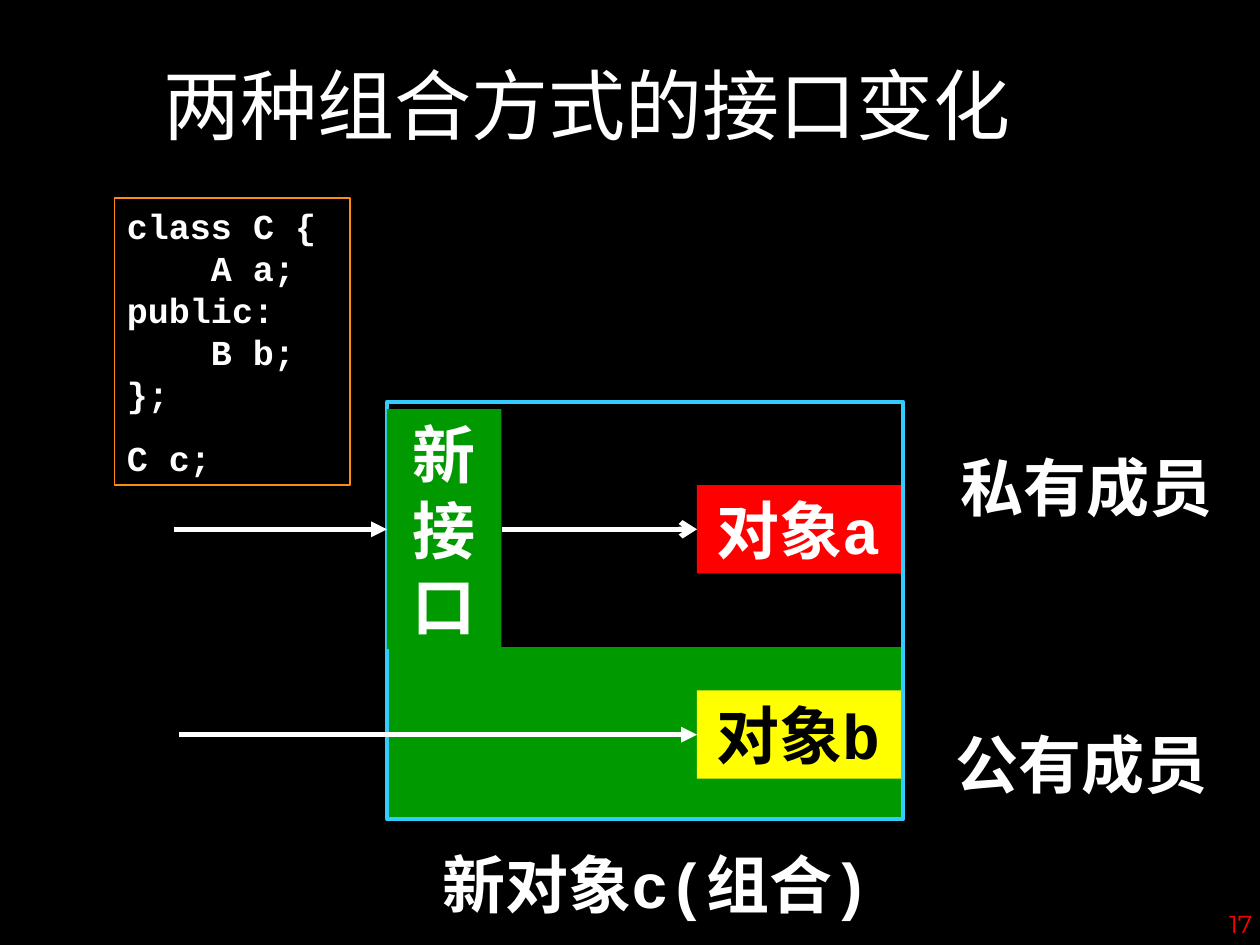
from dataclasses import dataclass

from lxml.etree import SubElement
from pptx import Presentation
from pptx.dml.color import RGBColor
from pptx.enum.shapes import MSO_CONNECTOR, MSO_SHAPE
from pptx.enum.text import MSO_ANCHOR, MSO_AUTO_SIZE, PP_ALIGN
from pptx.oxml.ns import qn
from pptx.util import Cm, Pt


@dataclass(frozen=True)
class Theme:
    black: str = "000000"
    white: str = "FFFFFF"
    green: str = "009900"
    red: str = "FF0000"
    yellow: str = "FFFF00"
    frame: str = "33CCFF"
    code_border: str = "FF8B17"
    font: str = "Courier New"
    number_font: str = "Montserrat"
    title_size: int = 44
    label_size: int = 36
    code_size: int = 20
    number_size: int = 14


THEME = Theme()

TITLE = "两种组合方式的接口变化"
PAGE_NUMBER = "17"
# Text, indent level, space before in points
CODE = [
    ("class C {", 0, 0),
    ("A a;", 1, 0),
    ("public:", 0, 0),
    ("B b;", 1, 0),
    ("};", 0, 0),
    ("C c;", 0, 12.5),
]
CODE_INDENT = Pt(4 * 0.6 * THEME.code_size)  # four monospaced characters

# Boxes are left, top, width, height in centimetres
TITLE_BOX = (3.05, 1.04, 17.6, 2.13)
NUMBER_BOX = (20.22, 18.21, 5.28, 1.27)
CODE_BOX = (2.31, 3.99, 4.75, 5.79)
FRAME_BOX = (7.8, 8.1, 10.41, 8.41)
PUBLIC_BOX = (7.8, 13.03, 10.41, 3.48)
INTERFACE = ("新接口", (7.8, 8.25, 2.31, 4.84))
CAPTION = ("新对象c(组合)", (8.2, 16.92, 10.06, 1.78))
OBJECTS = [
    ("对象a", (14.05, 9.78, 4.11, 1.78), THEME.red, THEME.white),
    ("对象b", (14.05, 13.92, 4.11, 1.78), THEME.yellow, THEME.black),
]
ACCESS_LABELS = [
    ("私有成员", (18.8, 8.92, 6.2, 1.78)),
    ("公有成员", (18.8, 14.5, 5.99, 1.78)),
]
ACCESS_STARTS = (3.5, 3.61)  # left ends of the private and public arrows
LEFT_SIDE, RIGHT_SIDE = 1, 3


def rgb(color):
    return RGBColor.from_string(color)


def add_text(paragraph, text, size, color=THEME.white, bold=True,
             font=THEME.font, align=PP_ALIGN.CENTER):
    paragraph.alignment = align
    run = paragraph.add_run()
    run.text = text
    run.font.name = font
    run.font.size = Pt(size)
    run.font.bold = bold
    run.font.color.rgb = rgb(color)


def set_frame(shape, wrap=True, anchor=MSO_ANCHOR.TOP):
    frame = shape.text_frame
    frame.auto_size = MSO_AUTO_SIZE.NONE
    frame.word_wrap = wrap
    frame.vertical_anchor = anchor
    return frame


def add_box(slide, box, fill=None, line=None, width=0.75):
    shape = slide.shapes.add_shape(MSO_SHAPE.RECTANGLE, *map(Cm, box))
    shape.shadow.inherit = False
    if fill:
        shape.fill.solid()
        shape.fill.fore_color.rgb = rgb(fill)
    else:
        shape.fill.background()
    if line:
        shape.line.color.rgb = rgb(line)
        shape.line.width = Pt(width)
    else:
        shape.line.fill.background()
    return shape


def add_label_box(slide, text, box, fill, color=THEME.white, wrap=False,
                  anchor=MSO_ANCHOR.TOP):
    shape = add_box(slide, box, fill)
    frame = set_frame(shape, wrap, anchor)
    add_text(frame.paragraphs[0], text, THEME.label_size, color)
    return shape


def add_text_box(slide, text, box, size, **style):
    frame = set_frame(slide.shapes.add_textbox(*map(Cm, box)))
    add_text(frame.paragraphs[0], text, size, **style)


def add_arrow(slide, target, source=None, start=0, head="triangle"):
    """Point at the left side of target, from source or from an x in cm."""
    middle = target.top + target.height // 2
    arrow = slide.shapes.add_connector(
        MSO_CONNECTOR.STRAIGHT, Cm(start), middle, target.left, middle)
    if source is not None:
        arrow.begin_connect(source, RIGHT_SIDE)
    arrow.end_connect(target, LEFT_SIDE)
    arrow.line.color.rgb = rgb(THEME.white)
    arrow.line.width = Pt(3)
    SubElement(arrow.line._get_or_add_ln(), qn("a:tailEnd"), type=head)
    SubElement(arrow._element.spPr, qn("a:effectLst"))


def add_title(slide):
    title = slide.shapes.title
    title.left, title.top, title.width, title.height = map(Cm, TITLE_BOX)
    frame = set_frame(title, wrap=False)
    add_text(frame.paragraphs[0], TITLE, THEME.title_size, bold=False)


def add_code(slide):
    frame = set_frame(add_box(slide, CODE_BOX, line=THEME.code_border))
    for index, (text, level, space) in enumerate(CODE):
        paragraph = frame.add_paragraph() if index else frame.paragraphs[0]
        paragraph.space_before = Pt(space)
        add_text(paragraph, text, THEME.code_size, align=PP_ALIGN.LEFT)
        paragraph._p.get_or_add_pPr().set("marL", str(level * CODE_INDENT))


def add_composition(slide):
    add_box(slide, PUBLIC_BOX, THEME.green, THEME.black)
    add_box(slide, FRAME_BOX, line=THEME.frame, width=2.25)
    private_object, public_object = [
        add_label_box(slide, *item) for item in OBJECTS]
    interface = add_label_box(slide, *INTERFACE, THEME.green, wrap=True,
                              anchor=MSO_ANCHOR.MIDDLE)
    add_label_box(slide, *CAPTION, THEME.black)
    for text, box in ACCESS_LABELS:
        add_text_box(slide, text, box, THEME.label_size)
    for target, start in zip((interface, public_object), ACCESS_STARTS):
        add_arrow(slide, target, start=start)
    add_arrow(slide, private_object, source=interface, head="arrow")


def main():
    prs = Presentation()
    prs.slide_width, prs.slide_height = Cm(25.4), Cm(19.05)
    slide = prs.slides.add_slide(prs.slide_layouts.get_by_name("Title Only"))
    slide.background.fill.solid()
    slide.background.fill.fore_color.rgb = rgb(THEME.black)
    add_title(slide)
    add_code(slide)
    add_composition(slide)
    add_text_box(slide, PAGE_NUMBER, NUMBER_BOX, THEME.number_size,
                 color=THEME.red, bold=False, font=THEME.number_font,
                 align=PP_ALIGN.RIGHT)
    prs.save("out.pptx")


if __name__ == "__main__":
    main()
